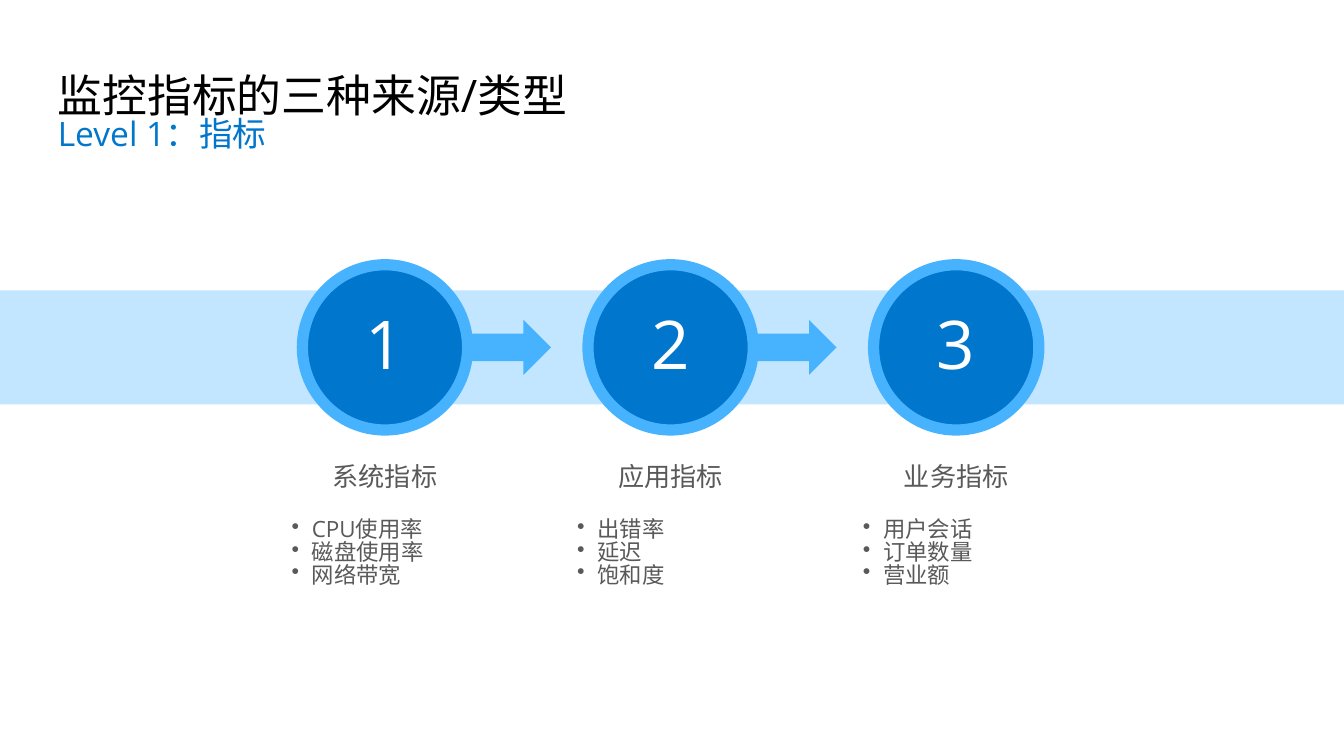
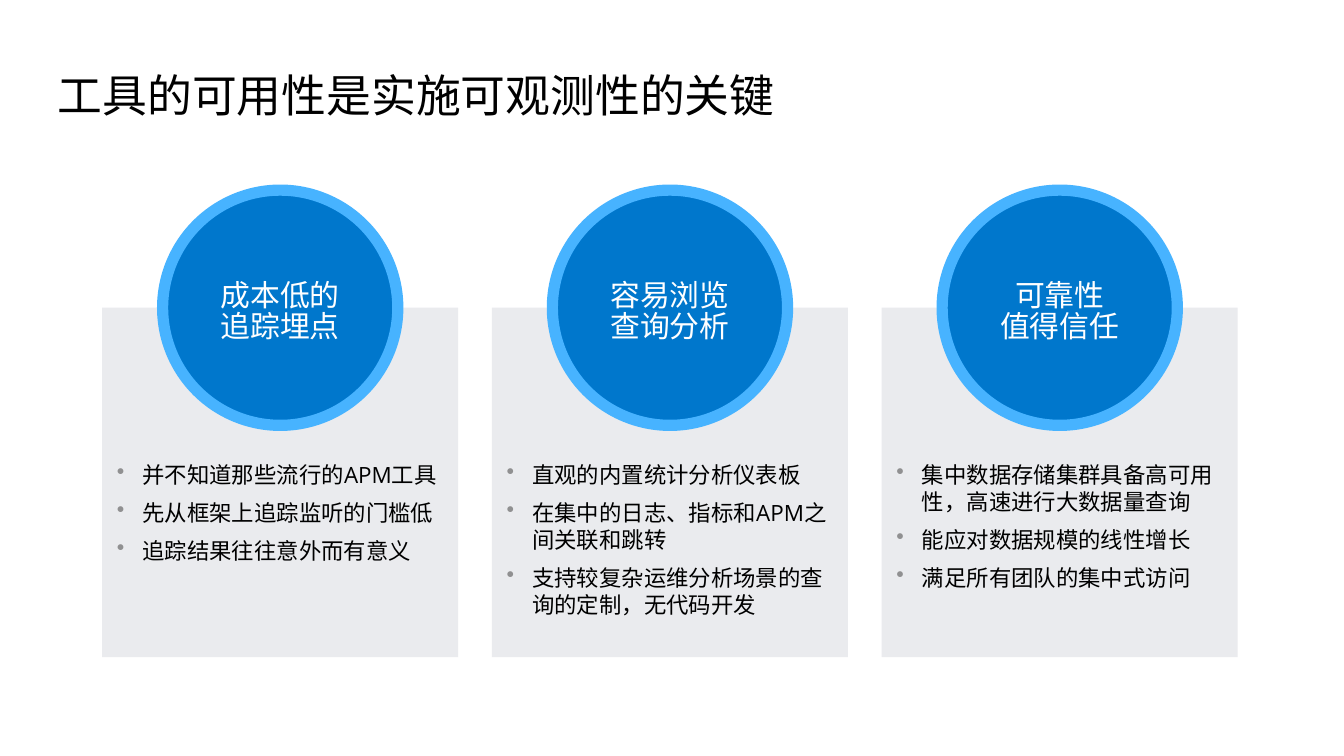
from dataclasses import dataclass
from typing import Optional

from lxml.etree import SubElement
from pptx import Presentation
from pptx.dml.color import RGBColor
from pptx.enum.shapes import MSO_SHAPE as SHAPE
from pptx.enum.text import MSO_ANCHOR as ANCHOR, PP_ALIGN as ALIGN
from pptx.oxml.ns import qn
from pptx.util import Emu, Inches, Pt

SLIDE_W = Inches(10)
SLIDE_H = SLIDE_W * 9 // 16
UNIT = SLIDE_W // 100  # square grid: 100 columns across, 56.25 rows down


@dataclass(frozen=True)
class Theme:
    font: str = "Open Sans"
    black: str = "000000"
    white: str = "FFFFFF"
    grey: str = "595959"
    bullet_grey: str = "909091"
    blue: str = "0077CC"
    bright: str = "47B3FF"
    pale: str = "C2E6FF"
    card: str = "EAEBEE"
    number_pt: int = 36
    title_pt: int = 24
    subtitle_pt: int = 18
    label_pt: int = 16
    heading_pt: int = 14
    body_pt: int = 12
    ring_pt: int = 6


THEME = Theme()


@dataclass(frozen=True)
class Box:
    """A place on the grid, in columns and rows."""
    left: float
    top: float
    width: float
    height: float

    @classmethod
    def around(cls, x: float, y: float, width: float, height: float) -> "Box":
        return cls(x - width / 2, y - height / 2, width, height)

    @classmethod
    def below(cls, x: float, top: float, width: float, height: float) -> "Box":
        return cls(x - width / 2, top, width, height)

    def emu(self) -> list:
        return [Emu(round(v * UNIT))
                for v in (self.left, self.top, self.width, self.height)]


@dataclass(frozen=True)
class Para:
    text: str
    size: int
    color: str
    align: ALIGN = ALIGN.LEFT
    spacing: float = 1.0
    before: int = 0
    indent: float = 0  # in columns; above zero makes a bullet
    bullet_color: Optional[str] = None


@dataclass(frozen=True)
class Step:
    heading: str
    metrics: tuple


@dataclass(frozen=True)
class Card:
    label: tuple
    points: tuple


STEPS = (
    Step("系统指标", ("CPU使用率", "磁盘使用率", "网络带宽")),
    Step("应用指标", ("出错率", "延迟", "饱和度")),
    Step("业务指标", ("用户会话", "订单数量", "营业额")),
)
CARDS = (
    Card(("成本低的", "追踪埋点"),
         ("并不知道那些流行的APM工具", "先从框架上追踪监听的门槛低",
          "追踪结果往往意外而有意义")),
    Card(("容易浏览", "查询分析"),
         ("直观的内置统计分析仪表板", "在集中的日志、指标和APM之间关联和跳转",
          "支持较复杂运维分析场景的查询的定制，无代码开发")),
    Card(("可靠性", "值得信任"),
         ("集中数据存储集群具备高可用性，高速进行大数据量查询",
          "能应对数据规模的线性增长", "满足所有团队的集中式访问")),
)


def rgb(color: str) -> RGBColor:
    return RGBColor.from_string(color)


def add_bullet(p, indent: float, color: Optional[str]) -> None:
    pPr = p._p.get_or_add_pPr()
    width = round(indent * UNIT)
    pPr.set("marL", str(width))
    pPr.set("indent", str(-width))
    if color:
        SubElement(SubElement(pPr, qn("a:buClr")), qn("a:srgbClr"), val=color)
    SubElement(pPr, qn("a:buChar"), char="•")


def add_text(slide, box: Box, paras: list, anchor: ANCHOR = ANCHOR.TOP) -> None:
    tf = slide.shapes.add_textbox(*box.emu()).text_frame
    tf.word_wrap = True
    tf.vertical_anchor = anchor
    tf.margin_left = tf.margin_right = tf.margin_top = tf.margin_bottom = Inches(0.05)
    for i, para in enumerate(paras):
        p = tf.add_paragraph() if i else tf.paragraphs[0]
        if para.indent:
            add_bullet(p, para.indent, para.bullet_color)
        p.text = para.text
        p.alignment = para.align
        p.line_spacing = para.spacing
        if i:
            p.space_before = Pt(para.before)
        font = p.runs[0].font
        font.name = THEME.font
        font.size = Pt(para.size)
        font.color.rgb = rgb(para.color)


def add_block(slide, kind: SHAPE, box: Box, fill: str, ring: Optional[str] = None) -> None:
    sp = slide.shapes.add_shape(kind, *box.emu())
    sp.shadow.inherit = False
    sp.fill.solid()
    sp.fill.fore_color.rgb = rgb(fill)
    if ring:
        sp.line.color.rgb = rgb(ring)
        sp.line.width = Pt(THEME.ring_pt)
    else:
        sp.line.fill.background()


def add_disc(slide, x: float, y: float, size: float) -> None:
    add_block(slide, SHAPE.OVAL, Box.around(x, y, size, size), THEME.blue, THEME.bright)


def add_slide(prs, title: str, subtitle: str = ""):
    slide = prs.slides.add_slide(prs.slide_layouts[6])
    if subtitle:
        add_text(slide, Box(3.8, 8.4, 87.1, 4.6),
                 [Para(subtitle, THEME.subtitle_pt, THEME.blue, spacing=0.85)])
    add_text(slide, Box(3.8, 0, 87.1, 9.5),
             [Para(title, THEME.title_pt, THEME.black, spacing=0.8)], ANCHOR.BOTTOM)
    return slide


def build_sources(prs) -> None:
    slide = add_slide(prs, "监控指标的三种来源/类型", "Level 1：指标")
    axis = 25.85
    centers = [28.65 + 21.25 * i for i in range(len(STEPS))]
    add_block(slide, SHAPE.RECTANGLE, Box.around(50, axis, 100, 8.5), THEME.pale)
    for x in centers[:-1]:
        add_block(slide, SHAPE.RIGHT_ARROW, Box.around(x + 8.8, axis, 7.1, 4.1),
                  THEME.bright)
    for number, (x, step) in enumerate(zip(centers, STEPS), 1):
        add_disc(slide, x, axis, 12.3)
        add_text(slide, Box.around(x, axis, 8.7, 7.8),
                 [Para(str(number), THEME.number_pt, THEME.white, ALIGN.CENTER, 0.9)],
                 ANCHOR.MIDDLE)
        heading = Para(step.heading, THEME.heading_pt, THEME.grey, ALIGN.CENTER, 0.85)
        metrics = [Para(metric, THEME.body_pt, THEME.grey, spacing=0.85,
                        before=0 if i else 15, indent=1.5)
                   for i, metric in enumerate(step.metrics)]
        add_text(slide, Box.below(x, 34.1, 14.9, 12), [heading, *metrics])


def build_tools(prs) -> None:
    slide = add_slide(prs, "工具的可用性是实施可观测性的关键")
    card_top = 22.9
    for i, card in enumerate(CARDS):
        x = 20.85 + 29 * i
        add_block(slide, SHAPE.RECTANGLE, Box.below(x, card_top, 26.5, 26), THEME.card)
        add_disc(slide, x, card_top, 17.5)
        add_text(slide, Box.around(x, card_top + 0.4, 17.9, 6.7),
                 [Para(line, THEME.label_pt, THEME.white, ALIGN.CENTER, 0.85)
                  for line in card.label], ANCHOR.MIDDLE)
        add_text(slide, Box.below(x, 33.8, 25.3, 14.6),
                 [Para(point, THEME.body_pt, THEME.black, before=6, indent=1.9,
                       bullet_color=THEME.bullet_grey) for point in card.points])


def main() -> None:
    prs = Presentation()
    prs.slide_width, prs.slide_height = SLIDE_W, SLIDE_H
    build_sources(prs)
    build_tools(prs)
    prs.save("out.pptx")


if __name__ == "__main__":
    main()
